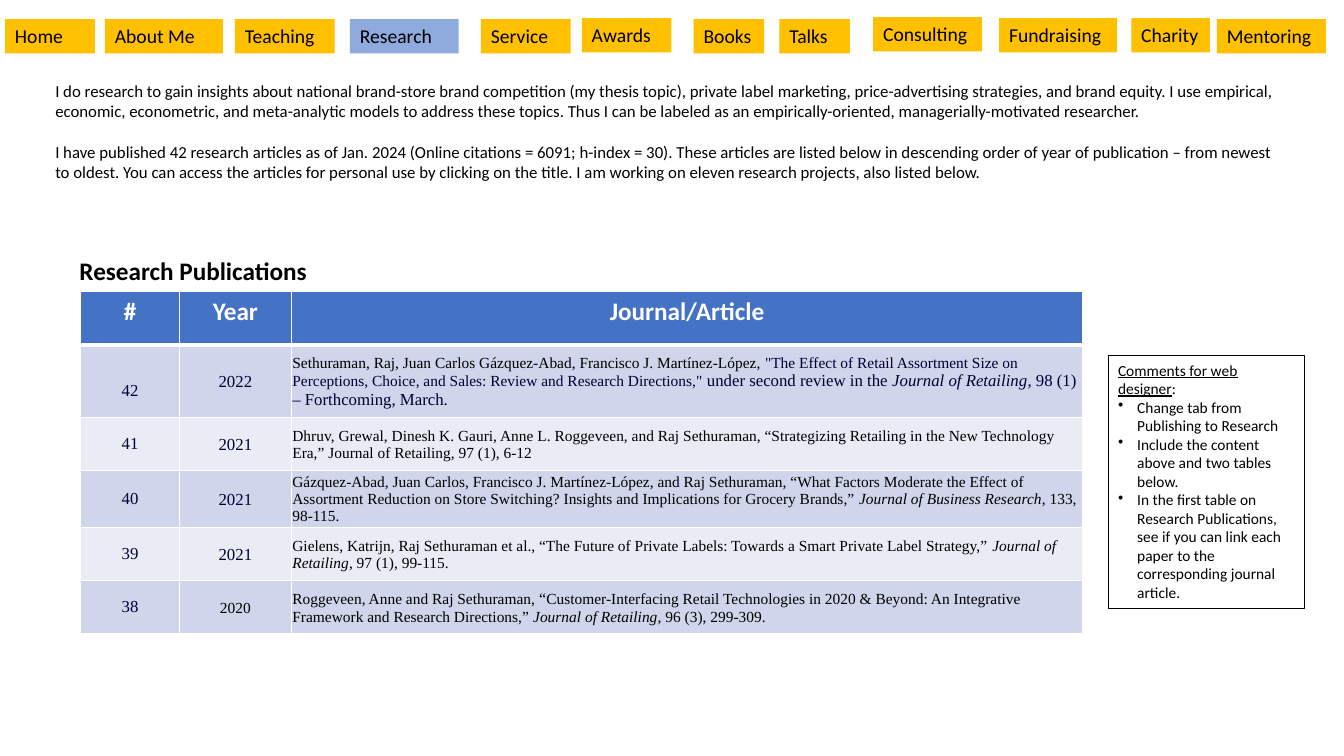
import pptx
import pptx.dml.color
import pptx.enum.shapes
import pptx.enum.text
import pptx.util
from lxml import etree
from pptx.oxml.ns import qn

PX = 9144  # EMU in one px, 100 px to the inch
COLORS = {"black": "000000", "white": "FFFFFF", "navy": "000033",
          "tab": "FFC000", "active": "8FAADC", "header": "4472C4",
          "odd": "CFD5EA", "even": "E9EBF5"}
SANS, SERIF = "Calibri", "Times New Roman"


def rgb(name):
    return pptx.dml.color.RGBColor.from_string(COLORS[name])


def set_font(font, size, color="black", face=SANS):
    font.name = face
    font.size = pptx.util.Pt(size)
    font.color.rgb = rgb(color)


presentation = pptx.Presentation()
presentation.slide_width = 1333 * PX
presentation.slide_height = 750 * PX
slide = presentation.slides.add_slide(presentation.slide_layouts[6])
RECTANGLE = pptx.enum.shapes.MSO_SHAPE.RECTANGLE
LEFT, CENTER = pptx.enum.text.PP_ALIGN.LEFT, pptx.enum.text.PP_ALIGN.CENTER
TOP, MIDDLE = pptx.enum.text.MSO_ANCHOR.TOP, pptx.enum.text.MSO_ANCHOR.MIDDLE

# Navigation tabs: label, left, top, width
tabs = [("Home", 5, 19, 89), ("About Me", 104, 19, 117), ("Teaching", 233, 19, 99),
        ("Research", 347, 19, 108), ("Service", 477, 19, 89), ("Awards", 577, 18, 89),
        ("Books", 688, 19, 70), ("Talks", 773, 19, 70), ("Consulting", 866, 17, 108),
        ("Fundraising", 991, 18, 117), ("Charity", 1122, 18, 78),
        ("Mentoring", 1207, 19, 108)]
for label, left, top, width in tabs:
    tab = slide.shapes.add_shape(RECTANGLE, left * PX, top * PX, width * PX, 34 * PX)
    tab.shadow.inherit = False
    tab.fill.solid()
    tab.fill.fore_color.rgb = rgb("active" if label == "Research" else "tab")
    tab.line.fill.background()
    tab.text_frame.vertical_anchor = TOP
    paragraph = tab.text_frame.paragraphs[0]
    paragraph.text = label
    paragraph.alignment = LEFT
    set_font(paragraph.font, 14)

# Introduction
intro = slide.shapes.add_textbox(45 * PX, 75 * PX, 1233 * PX, 111 * PX).text_frame
intro.word_wrap = True
intro.text = (
    "I do research to gain insights about national brand-store brand competition (my thesis "
    "topic), private label marketing, price-advertising strategies, and brand equity. I use "
    "empirical, economic, econometric, and meta-analytic models to address these topics. Thus "
    "I can be labeled as an empirically-oriented, managerially-motivated researcher.\n"
    "I have published 42 research articles as of Jan. 2024 (Online citations = 6091; h-index = "
    "30). These articles are listed below in descending order of year of publication – from "
    "newest to oldest. You can access the articles for personal use by clicking on the title. "
    "I am working on eleven research projects, also listed below.")
for paragraph in intro.paragraphs:
    set_font(paragraph.font, 12)
intro.paragraphs[1].space_before = pptx.util.Pt(14.6)

# Publications table
heading = slide.shapes.add_textbox(69 * PX, 248 * PX, 247 * PX, 40 * PX).text_frame
heading.word_wrap = False
heading.text = "Research Publications"
set_font(heading.paragraphs[0].font, 18)
heading.paragraphs[0].font.bold = True

# Number, year, then the citation as runs of text, size, colour, italic
JOURNAL = ("Journal of Retailing", 11, "black", True)
publications = [
    ("42", "2022", [
        ("Sethuraman, Raj, Juan Carlos Gázquez-Abad, Francisco J. Martínez-López, ",
         11, "black", False),
        ('"The Effect of Retail Assortment Size on Perceptions, Choice, and Sales: '
         'Review and Research Directions," ', 11, "navy", False),
        ("under second review in the ", 12, "navy", False),
        ("Journal of Retailing", 12, "navy", True),
        (", 98 (1) – Forthcoming, March.", 12, "navy", False)]),
    ("41", "2021", [
        ("Dhruv, Grewal, Dinesh K. Gauri, Anne L. Roggeveen, and Raj Sethuraman, "
         "“Strategizing Retailing in the New Technology Era,” Journal of Retailing, "
         "97 (1), 6-12", 11, "black", False)]),
    ("40", "2021", [
        ("Gázquez-Abad, Juan Carlos, Francisco J. Martínez-López, and Raj Sethuraman, "
         "“What Factors Moderate the Effect of Assortment Reduction on Store Switching? "
         "Insights and Implications for Grocery Brands,” ", 11, "black", False),
        ("Journal of Business Research", 11, "black", True),
        (", 133, 98-115.", 11, "black", False)]),
    ("39", "2021", [
        ("Gielens, Katrijn, Raj Sethuraman et al., “The Future of Private Labels: Towards "
         "a Smart Private Label Strategy,” ", 11, "black", False),
        JOURNAL,
        (", 97 (1), 99-115.", 11, "black", False)]),
    ("38", "2020", [
        ("Roggeveen, Anne and Raj Sethuraman, ", 11, "black", False),
        ("“", 11.5, "black", False),
        ("Customer-Interfacing Retail Technologies in 2020 & Beyond: An Integrative "
         "Framework and Research Directions,” ", 11, "black", False),
        JOURNAL,
        (", 96 (3), 299-309.", 11, "black", False)]),
]
table = slide.shapes.add_table(6, 3, 80 * PX, 289 * PX, 994 * PX, 340 * PX).table
for column, width in zip(table.columns, (98, 111, 785)):
    column.width = width * PX
for row, height in zip(table.rows, (53, 72, 53, 53, 53, 53)):
    row.height = height * PX

for column, title in enumerate(("#", "Year", "Journal/Article")):
    paragraph = table.cell(0, column).text_frame.paragraphs[0]
    paragraph.text = title
    paragraph.alignment = CENTER
    set_font(paragraph.font, 18, "white")
    paragraph.font.bold = True

for row, (number, year, citation) in enumerate(publications, 1):
    year_style = (11, "black") if year == "2020" else (12, "navy")
    contents = [[(number, 12, "navy", False)], [(year, *year_style, False)], citation]
    for column, runs in enumerate(contents):
        cell = table.cell(row, column)
        cell.vertical_anchor = MIDDLE
        if column > 0:
            cell.margin_left = cell.margin_right = cell.margin_top = PX
            cell.margin_bottom = 0
        paragraph = cell.text_frame.paragraphs[0]
        paragraph.alignment = LEFT if column == 2 else CENTER
        if len(runs) == 1:
            text, size, color, _ = runs[0]
            paragraph.text = text
            set_font(paragraph.font, size, color, SERIF)
            continue
        for text, size, color, italic in runs:
            run = paragraph.add_run()
            run.text = text
            set_font(run.font, size, color, SERIF)
            run.font.italic = italic
table.cell(1, 0).margin_top = 24 * PX

for row in range(6):
    for column in range(3):
        cell = table.cell(row, column)
        cell.fill.solid()
        cell.fill.fore_color.rgb = rgb("header" if row == 0 else "odd" if row % 2 else "even")
        properties = cell._tc.get_or_add_tcPr()
        for position, side in enumerate(("lnL", "lnR", "lnT", "lnB")):
            thick = (row, side) in ((0, "lnB"), (1, "lnT"))
            border = etree.Element(qn(f"a:{side}"), w=str(pptx.util.Pt(3 if thick else 1)))
            fill = etree.SubElement(border, qn("a:solidFill"))
            etree.SubElement(fill, qn("a:srgbClr"), val=COLORS["white"])
            properties.insert(position, border)

# Comments for the web designer
comments = slide.shapes.add_shape(RECTANGLE, 1099 * PX, 353 * PX, 195 * PX, 251 * PX)
comments.shadow.inherit = False
comments.fill.background()
comments.line.color.rgb = rgb("black")
comments.line.width = pptx.util.Pt(0.75)
frame = comments.text_frame
frame.vertical_anchor = TOP
title = frame.paragraphs[0]
title.alignment = LEFT
for text, underline in (("Comments for web designer", True), (":", False)):
    run = title.add_run()
    run.text = text
    run.font.underline = underline
set_font(title.font, 11)
for text in ("Change tab from Publishing to Research",
             "Include the content above and two tables below.",
             "In the first table on Research Publications, see if you can link each paper "
             "to the corresponding journal article."):
    paragraph = frame.add_paragraph()
    paragraph.text = text
    paragraph.alignment = LEFT
    properties = paragraph._p.get_or_add_pPr()
    properties.set("marL", str(19 * PX))
    properties.set("indent", str(-19 * PX))
    etree.SubElement(properties, qn("a:buChar"), char="•")
    set_font(paragraph.font, 11)

presentation.save("out.pptx")
